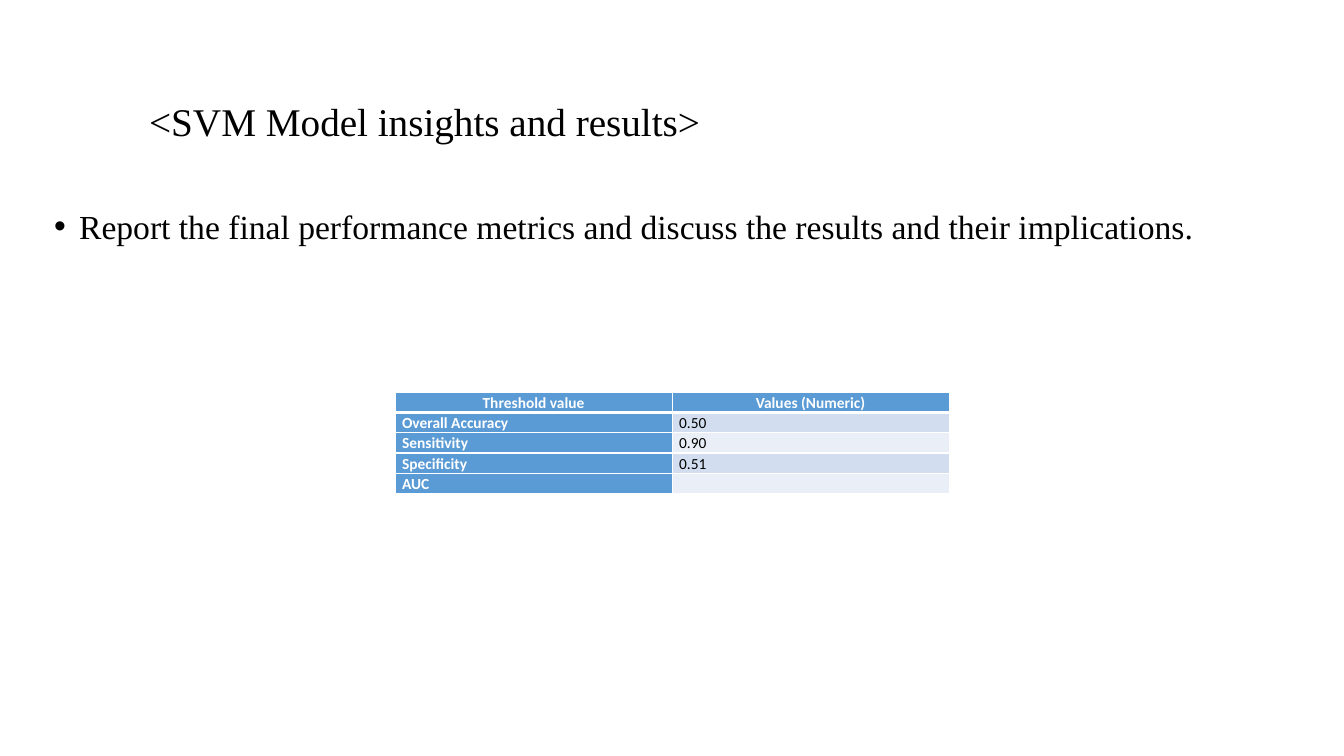
"""Build the SVM model results slide."""
import pptx
import pptx.util
import pptx.dml.color
import pptx.enum.text
import pptx.oxml.ns
import lxml.etree

TITLE = [(" ", 40, True), ("<SVM Model insights and results>", 28, False)]
BODY = "Report the final performance metrics and discuss the results and their implications."
ROWS = [
    ("Threshold value", "Values (Numeric)"),
    ("Overall Accuracy", "0.50"),
    ("Sensitivity", "0.90"),
    ("Specificity", "0.51"),
    ("AUC", ""),
]
COLORS = {"head": "5B9BD5", "odd": "D2DEEF", "even": "EAEFF7", "white": "FFFFFF", "black": "000000"}
SERIF, SANS = "Times New Roman", "Calibri"
TITLE_BOX = (125, 71, 1027, 95)
BODY_BOX = (44, 205, 1231, 479)
TABLE_LEFT, TABLE_TOP, COL_W, ROW_H = 395, 392, 277, 20
CELL_PAD, BULLET_INDENT = 7, 25
ALIGN = pptx.enum.text.PP_ALIGN
ANCHOR = pptx.enum.text.MSO_ANCHOR


def px(n):
    return round(n * 914400 / 100.8)


def rgb(name):
    return pptx.dml.color.RGBColor.from_string(COLORS[name])


def style(r, font, size, color, bold=False):
    r.font.name, r.font.size, r.font.bold = font, pptx.util.Pt(size), bold
    r.font.color.rgb = rgb(color)


def place(sp, box):
    sp.left, sp.top, sp.width, sp.height = map(px, box)


def child(parent, tag, **attrs):
    return lxml.etree.SubElement(parent, pptx.oxml.ns.qn(tag), **attrs)


def add_borders(cell, top, bottom):
    tcPr = cell._tc.get_or_add_tcPr()
    for side, width in (("L", 1), ("R", 1), ("T", top), ("B", bottom)):
        ln = child(tcPr, "a:ln" + side, w=str(pptx.util.Pt(width)))
        child(child(ln, "a:solidFill"), "a:srgbClr", val=COLORS["white"])


def add_title(s):
    sp = s.shapes.title
    place(sp, TITLE_BOX)
    sp.text_frame.vertical_anchor = ANCHOR.MIDDLE
    p = sp.text_frame.paragraphs[0]
    p.alignment, p.line_spacing = ALIGN.LEFT, 0.9
    for text, size, bold in TITLE:
        r = p.add_run()
        r.text = text
        style(r, SERIF, size, "black", bold)


def add_body(s):
    sp = s.placeholders[1]
    place(sp, BODY_BOX)
    p = sp.text_frame.paragraphs[0]
    p.text = BODY
    p.line_spacing, p.space_before = 0.9, pptx.util.Pt(10)
    style(p.runs[0], SERIF, 24, "black")
    pPr = p._p.get_or_add_pPr()
    pPr.set("marL", str(px(BULLET_INDENT)))
    pPr.set("indent", str(-px(BULLET_INDENT)))
    child(pPr, "a:buFont", typeface="Arial")
    child(pPr, "a:buChar", char="•")


def fill_cell(cell, text, row, col):
    head = row == 0 or col == 0
    add_borders(cell, 3 if row == 1 else 1, 3 if row == 0 else 1)
    cell.fill.solid()
    cell.fill.fore_color.rgb = rgb("head" if head else "odd" if row % 2 else "even")
    cell.margin_left = cell.margin_right = px(CELL_PAD)
    cell.margin_top = cell.margin_bottom = 0
    p = cell.text_frame.paragraphs[0]
    p.text = text
    p.line_spacing = 1.07
    p.alignment = ALIGN.LEFT if row else ALIGN.CENTER
    for r in p.runs:
        style(r, SANS, 11, "white" if head else "black", head)
    if not text:
        p._p.get_or_add_endParaRPr().set("sz", "1100")


def add_results(s):
    cols = len(ROWS[0])
    box = (TABLE_LEFT, TABLE_TOP, COL_W * cols, ROW_H * len(ROWS))
    table = s.shapes.add_table(len(ROWS), cols, *map(px, box)).table
    table.first_col = True
    for i, values in enumerate(ROWS):
        for j, text in enumerate(values):
            fill_cell(table.cell(i, j), text, i, j)


def main():
    prs = pptx.Presentation()
    prs.slide_width, prs.slide_height = pptx.util.Inches(13.33), pptx.util.Inches(7.5)
    s = prs.slides.add_slide(prs.slide_layouts[1])
    add_body(s)
    add_title(s)
    add_results(s)
    prs.save("out.pptx")


if __name__ == "__main__":
    main()
